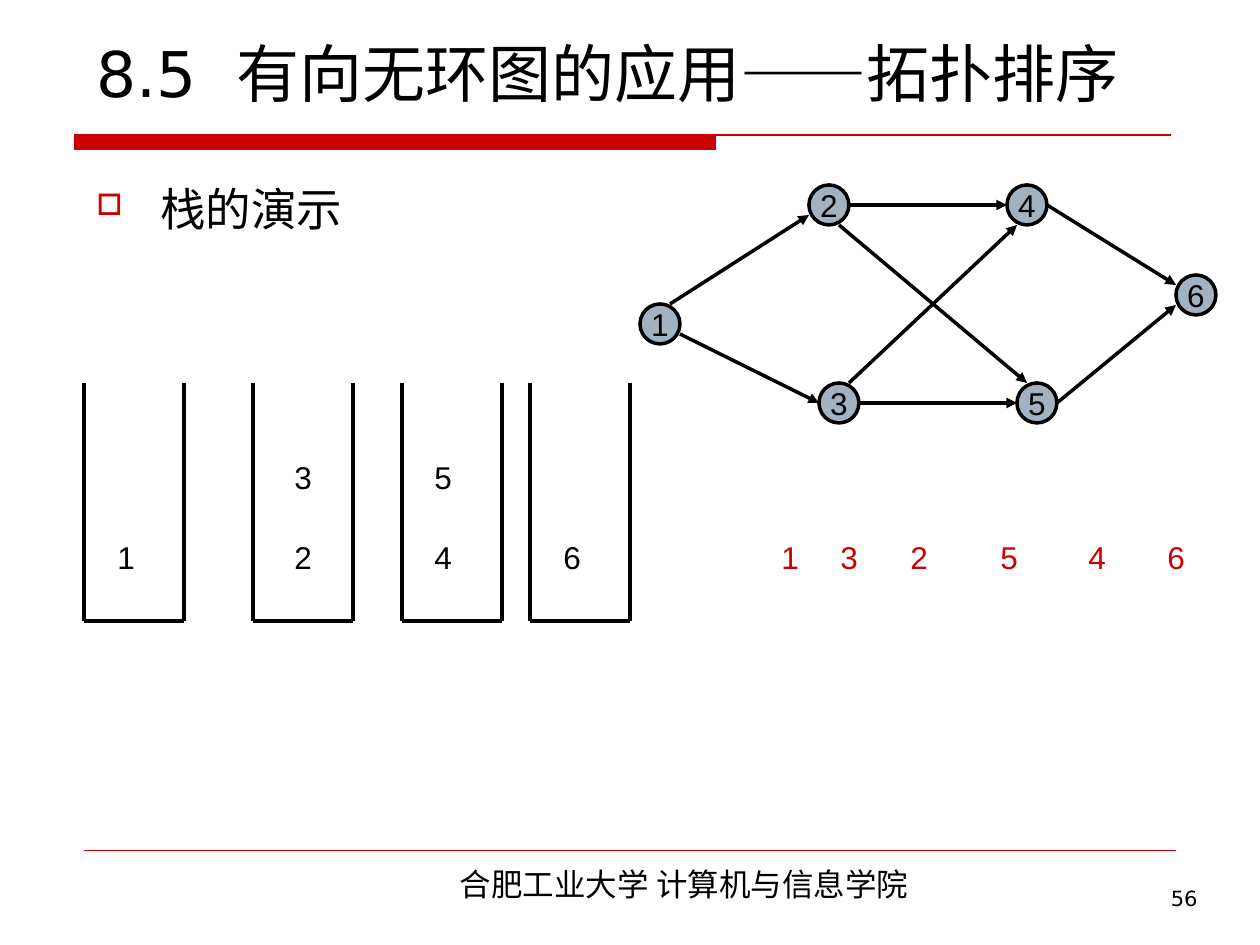
from dataclasses import dataclass

from lxml.etree import SubElement
from pptx import Presentation
from pptx.dml.color import RGBColor
from pptx.enum.shapes import MSO_CONNECTOR, MSO_SHAPE
from pptx.enum.text import MSO_ANCHOR, PP_ALIGN
from pptx.oxml.ns import qn
from pptx.util import Emu, Pt


@dataclass(frozen=True)
class Theme:
    black: str = "000000"
    red: str = "CC0000"
    node: str = "A3B2C1"
    sans: str = "DejaVu Sans"
    serif: str = "Times New Roman"
    digit: str = "Arial"
    chinese: str = "Noto Sans CJK SC"
    title_size: int = 36
    body_size: int = 26
    label_size: int = 18
    number_size: int = 12
    edge_width: float = 2
    stack_width: float = 2.25


THEME = Theme()
EMU_PER_PX = 914400 / 126
NODE_SIZE = 40
STACK_TOP, STACK_BOTTOM, STACK_SPAN = 383, 621, 100
DIGIT_WIDTH, DIGIT_HEIGHT = 59, 50
DIGIT_ROWS = (532, 452)

NODES = {
    "1": (660, 324), "2": (829, 205), "3": (839, 403),
    "4": (1027, 205), "5": (1037, 403), "6": (1196, 295),
}
EDGES = [
    ("1", (10, -20), "2", (-20, 10)),
    ("1", (20, 10), "3", (-20, 0)),
    ("2", (10, 20), "5", (-10, -20)),
    ("3", (20, 0), "5", (-20, 0)),
    ("2", (20, 0), "4", (-20, 0)),
    ("4", (20, 0), "6", (-20, -10)),
    ("5", (20, 0), "6", (-20, 10)),
    ("3", (10, -20), "4", (-10, 20)),
]
STACKS = [(84, 105, "1"), (253, 282, "23"), (402, 422, "45"), (530, 551, "6")]
OUTPUT = [(769, "1"), (828, "3"), (898, "2"), (988, "5"), (1076, "4"), (1155, "6")]


def px(*values):
    return [Emu(round(value * EMU_PER_PX)) for value in values]


def colour(value):
    return RGBColor.from_string(value)


def format_span(span, size, font, shade):
    span.font.size = Pt(size)
    span.font.name = font
    span.font.color.rgb = colour(shade)
    SubElement(span.font._element, qn("a:ea"), typeface=THEME.chinese)


def write(frame, text, size, font, shade, align):
    para = frame.paragraphs[0]
    para.text = text
    para.alignment = align
    for span in para.runs:
        format_span(span, size, font, shade)
    return para


def add_text(page, area, text, size, font, shade=THEME.black,
             align=PP_ALIGN.LEFT, anchor=MSO_ANCHOR.TOP):
    frame = page.shapes.add_textbox(*px(*area)).text_frame
    frame.word_wrap = True
    frame.vertical_anchor = anchor
    return write(frame, text, size, font, shade, align)


def add_title(page, number, heading):
    para = add_text(page, (84, 18, 1103, 98), number, THEME.title_size, THEME.sans,
                    anchor=MSO_ANCHOR.BOTTOM)
    gap, tail = para.add_run(), para.add_run()
    gap.text, tail.text = " ", heading
    for span in (gap, tail):
        format_span(span, THEME.title_size, THEME.sans, THEME.black)
    gap.font._element.set("spc", "1150")


def add_bullet(para, symbol, indent):
    properties = para._p.get_or_add_pPr()
    offset = px(indent)[0]
    properties.set("marL", str(offset))
    properties.set("indent", str(-offset))
    shade = SubElement(properties, qn("a:buClr"))
    SubElement(shade, qn("a:srgbClr"), val=THEME.red)
    SubElement(properties, qn("a:buSzPct"), val="65000")
    SubElement(properties, qn("a:buChar"), char=symbol)


def add_line(page, start, end, shade, width, arrow=False):
    line = page.shapes.add_connector(MSO_CONNECTOR.STRAIGHT, *px(*start, *end))
    line.line.color.rgb = colour(shade)
    line.line.width = Pt(width)
    if arrow:
        SubElement(line.line._get_or_add_ln(), qn("a:tailEnd"), type="triangle")
    SubElement(line._element.spPr, qn("a:effectLst"))


def add_bar(page, area):
    bar = page.shapes.add_shape(MSO_SHAPE.RECTANGLE, *px(*area))
    bar.shadow.inherit = False
    bar.fill.solid()
    bar.fill.fore_color.rgb = colour(THEME.red)
    bar.line.fill.background()


def add_node(page, label, centre):
    x, y = (value - NODE_SIZE / 2 for value in centre)
    node = page.shapes.add_shape(MSO_SHAPE.OVAL, *px(x, y, NODE_SIZE, NODE_SIZE))
    node.shadow.inherit = False
    node.fill.solid()
    node.fill.fore_color.rgb = colour(THEME.node)
    node.line.color.rgb = colour(THEME.black)
    node.line.width = Pt(THEME.edge_width)
    node.text_frame.word_wrap = False
    node.text_frame.vertical_anchor = MSO_ANCHOR.MIDDLE
    write(node.text_frame, label, THEME.label_size, THEME.digit, THEME.black,
          PP_ALIGN.CENTER)


def add_edge(page, source, leave, target, arrive):
    start = [sum(pair) for pair in zip(NODES[source], leave)]
    end = [sum(pair) for pair in zip(NODES[target], arrive)]
    add_line(page, start, end, THEME.black, THEME.edge_width, arrow=True)


def add_digit(page, left, top, digit, shade=THEME.black):
    add_text(page, (left, top, DIGIT_WIDTH, DIGIT_HEIGHT), digit,
             THEME.label_size, THEME.digit, shade)


def add_stack(page, left, digit_left, digits):
    right = left + STACK_SPAN
    corners = [(left, STACK_TOP), (left, STACK_BOTTOM),
               (right, STACK_BOTTOM), (right, STACK_TOP)]
    for start, end in zip(corners, corners[1:]):
        add_line(page, start, end, THEME.black, THEME.stack_width)
    for top, digit in zip(DIGIT_ROWS, digits):
        add_digit(page, digit_left, top, digit)


def main():
    deck = Presentation()
    deck.slide_width, deck.slide_height = px(1260, 945)
    page = deck.slides.add_slide(deck.slide_layouts[6])

    add_bar(page, (74, 135, 642, 15))
    add_line(page, (74, 135), (1171, 135), THEME.red, 0.75)
    add_line(page, (84, 850), (1176, 850), THEME.red, 0.25)
    add_text(page, (302, 859, 764, 50), "合肥工业大学 计算机与信息学院",
             THEME.label_size, THEME.chinese, align=PP_ALIGN.CENTER)
    add_title(page, "8.5", "有向无环图的应用——拓扑排序")
    body = add_text(page, (84, 175, 1101, 745), "栈的演示", THEME.body_size, THEME.serif)
    add_bullet(body, "□", 64)

    for label, centre in NODES.items():
        add_node(page, label, centre)
    for edge in EDGES:
        add_edge(page, *edge)
    for stack in STACKS:
        add_stack(page, *stack)
    for left, digit in OUTPUT:
        add_digit(page, left, DIGIT_ROWS[0], digit, THEME.red)

    add_text(page, (937, 879, 273, 66), "56", THEME.number_size, THEME.sans,
             align=PP_ALIGN.RIGHT)
    deck.save("out.pptx")


if __name__ == "__main__":
    main()
